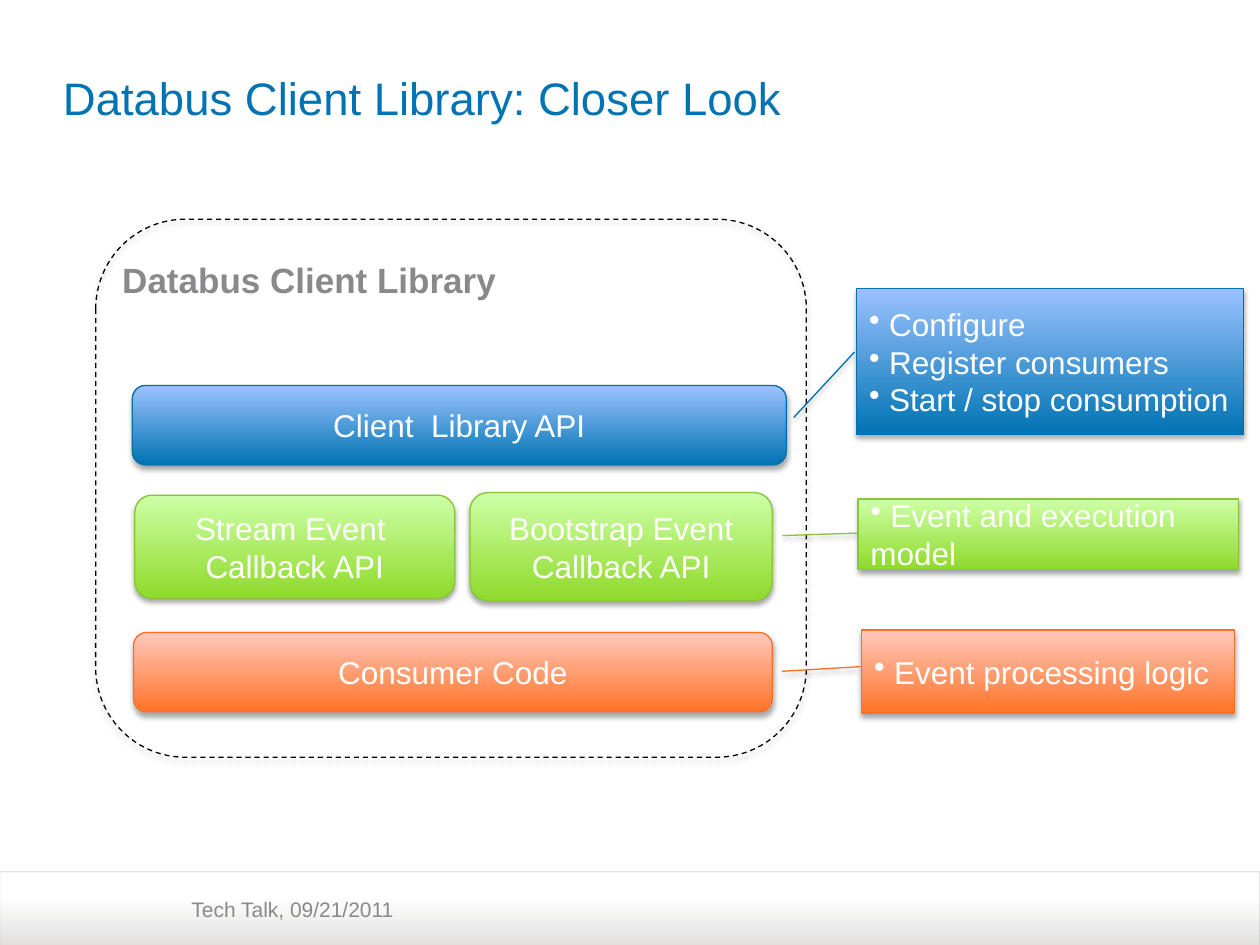
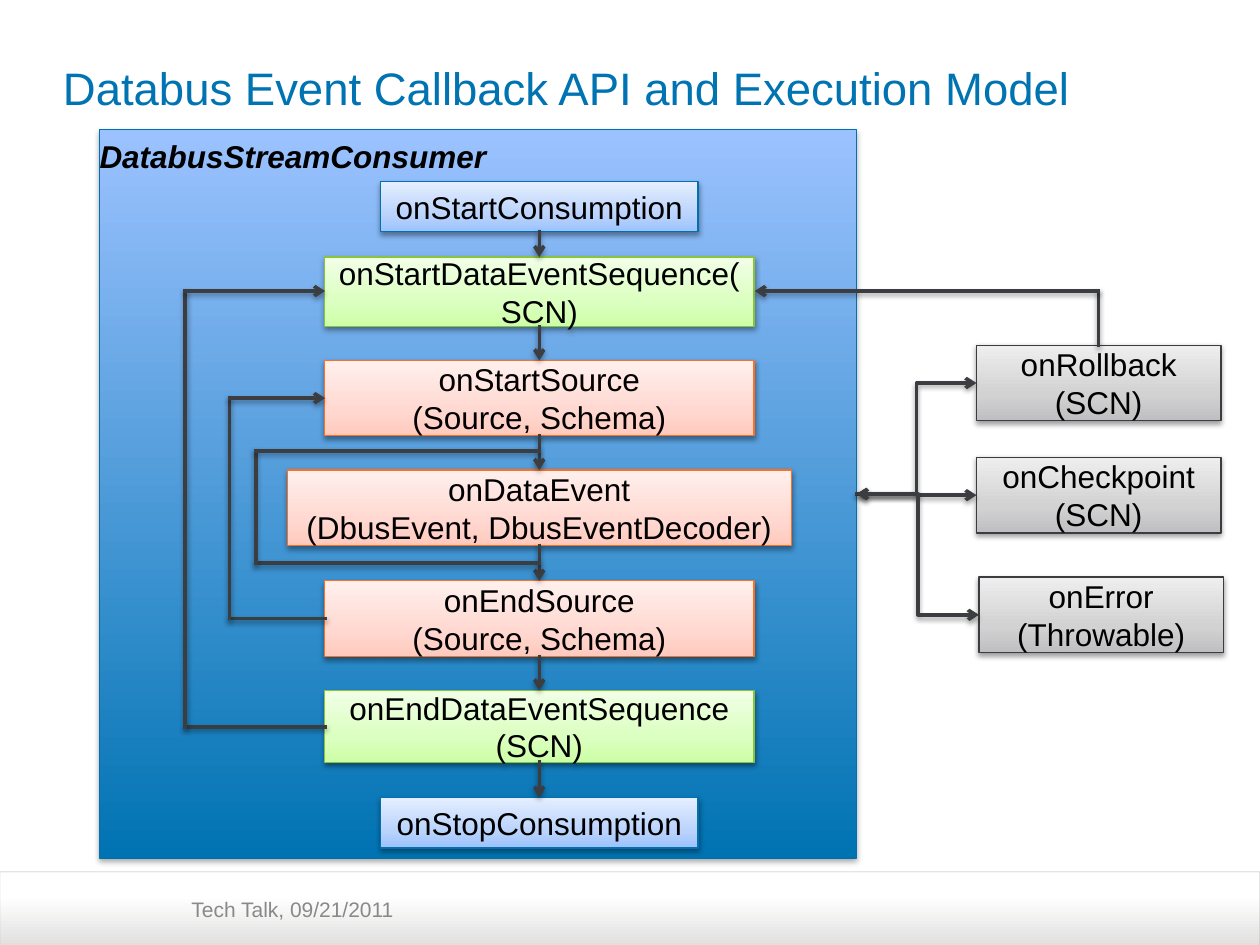
"""Build two slides on the Databus client library and its callback execution model."""
from itertools import pairwise

from lxml.etree import SubElement
from pptx import Presentation
from pptx.dml.color import RGBColor
from pptx.enum.dml import MSO_LINE
from pptx.enum.shapes import MSO_CONNECTOR as LINK, MSO_SHAPE as SHAPE
from pptx.enum.text import MSO_ANCHOR as ANCHOR, PP_ALIGN as ALIGN
from pptx.oxml.ns import qn
from pptx.util import Inches, Pt

FONT = "Arial"
BLACK = RGBColor(0x00, 0x00, 0x00)
WHITE = RGBColor(0xFF, 0xFF, 0xFF)
TITLE_BLUE = RGBColor(0x00, 0x73, 0xB2)
GRAY_TEXT = RGBColor(0x88, 0x89, 0x8B)
FOOTER_LINE = RGBColor(0xA6, 0xA6, 0xA6)
ARROW = RGBColor(0x3C, 0x3D, 0x41)
BLUE_LINE = RGBColor(0x00, 0x70, 0xAE)
GREEN_LINE = RGBColor(0x89, 0xC5, 0x3A)
ORANGE_LINE = RGBColor(0xFE, 0x6F, 0x22)
GRAY_LINE = RGBColor(0x3B, 0x3C, 0x40)

FOOTER_STOPS = [(0, "E1E0DF"), (68, "FFFFFF")]
BLUE = ([(0, "0073B2"), (100, "9BC2FF")], BLUE_LINE)
GREEN = ([(0, "8FDA2B"), (100, "CDFFA6")], GREEN_LINE)
ORANGE = ([(0, "FF7327"), (100, "FFC9BD")], ORANGE_LINE)
PALE_BLUE = ([(0, "9CC2FD"), (35, "BBD4FC"), (100, "E4EEFF")], BLUE_LINE)
PALE_GREEN = ([(0, "CDFFA6"), (35, "DBFFC0"), (100, "F1FFE7")], GREEN_LINE)
PALE_ORANGE = ([(0, "FFC9BD"), (35, "FFD9D1"), (100, "FFF0EE")], ORANGE_LINE)
PALE_GRAY = ([(0, "BFBFC1"), (35, "D2D2D3"), (100, "EEEEEF")], GRAY_LINE)
STRONG_SHADOW = (35, 1.8)
SOFT_SHADOW = (38, 1.6)

FOOTER_TEXT = "Tech Talk, 09/21/2011"

LIBRARY_FRAME = (0.76, 1.74, 5.64, 4.27)
LIBRARY_LAYERS = [
    ("Client  Library API", (1.05, 3.06, 5.19, 0.63), BLUE),
    ("Stream Event \nCallback API", (1.07, 3.93, 2.54, 0.82), GREEN),
    ("Bootstrap Event Callback API", (3.73, 3.91, 2.4, 0.86), GREEN),
    ("Consumer Code", (1.06, 5.02, 5.07, 0.63), ORANGE),
]
CALLOUTS = [
    (" Configure\n Register consumers\n Start / stop consumption",
     (6.8, 2.29, 3.07, 1.16), BLUE, (0.435, -0.006, 0.883, -0.163)),
    (" Event processing logic",
     (6.84, 5, 2.96, 0.66), ORANGE, (0.441, -0.004, 0.498, -0.214)),
    (" Event and execution model",
     (6.81, 3.96, 3.02, 0.56), GREEN, (0.485, -0.001, 0.521, -0.199)),
]

CONSUMER_PANEL = (0.79, 1.03, 6.01, 5.78)
CENTER = 4.28
CALLBACK_STEPS = [
    ("onStartConsumption", 1.44, 2.52, 0.4, PALE_BLUE),
    ("onStartDataEventSequence(SCN)", 2.04, 3.41, 0.55, PALE_GREEN),
    ("onStartSource\n(Source, Schema)", 2.86, 3.41, 0.6, PALE_ORANGE),
    ("onDataEvent\n(DbusEvent, DbusEventDecoder)", 3.73, 4, 0.6, PALE_ORANGE),
    ("onEndSource\n(Source, Schema)", 4.61, 3.41, 0.6, PALE_ORANGE),
    ("onEndDataEventSequence\n(SCN)", 5.48, 3.41, 0.57, PALE_GREEN),
    ("onStopConsumption", 6.33, 2.52, 0.4, PALE_BLUE),
]
SIDE_CALLBACKS = [
    ("onRollback\n(SCN)", 7.75, 2.74, False),
    ("onCheckpoint\n(SCN)", 7.75, 3.63, True),
    ("onError\n(Throwable)", 7.77, 4.58, True),
]
LOOPS = [
    ([(2.58, 5.77), (1.47, 5.77), (1.47, 2.31), (2.58, 2.31)], True),
    ([(2.58, 4.91), (1.82, 4.91), (1.82, 3.16), (2.58, 3.16)], True),
    ([(CENTER, 4.47), (2.03, 4.47), (2.03, 3.58), (CENTER, 3.58)], False),
    ([(8.72, 2.74), (8.72, 2.31), (5.99, 2.31)], True),
]
TOP, LEFT, BOTTOM, RIGHT = range(4)


def write(shape, text, size, color, align=ALIGN.LEFT, anchor=ANCHOR.MIDDLE,
          bold=None, italic=None, bullet=False):
    frame = shape.text_frame
    frame.word_wrap = True
    frame.vertical_anchor = anchor
    for index, line in enumerate(text.split("\n")):
        para = frame.add_paragraph() if index else frame.paragraphs[0]
        para.alignment = align
        if bullet:
            SubElement(para._p.get_or_add_pPr(), qn("a:buChar"), char="•")
        span = para.add_run()
        span.text = line
        font = span.font
        font.name, font.size, font.bold, font.italic = FONT, Pt(size), bold, italic
        font.color.rgb = color


def add_label(page, text, at, size, color, **style):
    box = page.shapes.add_textbox(*map(Inches, at))
    box.text_frame.margin_left = 0
    write(box, text, size, color, **style)


def add_shadow(shape, shadow):
    alpha, distance = shadow
    effects = SubElement(shape._element.spPr, qn("a:effectLst"))
    outer = SubElement(effects, qn("a:outerShdw"), blurRad=str(Pt(3.1)),
                       dist=str(Pt(distance)), dir="5400000", rotWithShape="0")
    color = SubElement(outer, qn("a:srgbClr"), val="000000")
    SubElement(color, qn("a:alpha"), val=str(alpha * 1000))


def add_box(page, kind, at, stops, line_color, shadow=None, line_width=0.75):
    box = page.shapes.add_shape(kind, *map(Inches, at))
    if stops:
        box.fill.gradient()
        box.fill.gradient_angle = 90
        stop_list = box._element.spPr.find(qn("a:gradFill")).find(qn("a:gsLst"))
        for old_stop in list(stop_list):
            stop_list.remove(old_stop)
        for position, color in stops:
            stop = SubElement(stop_list, qn("a:gs"), pos=str(position * 1000))
            SubElement(stop, qn("a:srgbClr"), val=color)
    else:
        box.fill.background()
    box.line.color.rgb = line_color
    box.line.width = Pt(line_width)
    if shadow:
        add_shadow(box, shadow)
    else:
        box.shadow.inherit = False
    return box


def add_link(page, kind=LINK.STRAIGHT, start=(0, 0), end=(0, 0), glue=None,
             head=False, tail=True):
    link = page.shapes.add_connector(kind, *map(Inches, (*start, *end)))
    if glue:
        source, source_site, target, target_site = glue
        link.begin_connect(source, source_site)
        link.end_connect(target, target_site)
    link.line.color.rgb = ARROW
    link.line.width = Pt(2)
    outline = link.line._get_or_add_ln()
    outline.set("cap", "sq")
    for tag, wanted in (("a:headEnd", head), ("a:tailEnd", tail)):
        if wanted:
            SubElement(outline, qn(tag), type="arrow")
    add_shadow(link, SOFT_SHADOW)


def add_route(page, points, arrow):
    segments = list(pairwise(points))
    for number, (start, end) in enumerate(segments, 1):
        add_link(page, start=start, end=end, tail=arrow and number == len(segments))


def start_page(deck):
    page = deck.slides.add_slide(deck.slide_layouts[6])
    band = add_box(page, SHAPE.ROUND_2_SAME_RECTANGLE, (0, 6.92, 10, 0.59),
                   FOOTER_STOPS, FOOTER_LINE, line_width=0.25)
    band.adjustments[0] = 0
    line_color = band.line._get_or_add_ln().find(qn("a:solidFill"))[0]
    SubElement(line_color, qn("a:alpha"), val="79000")
    add_label(page, FOOTER_TEXT, (1.52, 7.07, 3.1, 0.34), 12, GRAY_TEXT, anchor=ANCHOR.TOP)
    return page


def add_title(page, text, top):
    add_label(page, text, (0.5, top, 9, 1.1), 26, TITLE_BLUE)


def build_library_page(deck):
    page = start_page(deck)
    add_title(page, "Databus Client Library: Closer Look", 0.22)
    for text, at, (stops, line_color) in LIBRARY_LAYERS:
        layer = add_box(page, SHAPE.ROUNDED_RECTANGLE, at, stops, line_color, STRONG_SHADOW)
        write(layer, text, 18, WHITE, ALIGN.CENTER)
    frame = add_box(page, SHAPE.ROUNDED_RECTANGLE, LIBRARY_FRAME, None, BLACK, STRONG_SHADOW)
    frame.line.dash_style = MSO_LINE.DASH
    add_label(page, "Databus Client Library", (0.97, 2, 5.42, 1), 20, GRAY_TEXT,
              anchor=ANCHOR.TOP, bold=True)
    for text, at, (stops, line_color), pointer in CALLOUTS:
        callout = add_box(page, SHAPE.LINE_CALLOUT_1, at, stops, line_color, STRONG_SHADOW)
        for index, value in enumerate(pointer):
            callout.adjustments[index] = value
        write(callout, text, 18, WHITE, bullet=True)


def build_callback_page(deck):
    page = start_page(deck)
    panel = add_box(page, SHAPE.RECTANGLE, CONSUMER_PANEL, *BLUE, STRONG_SHADOW)
    add_title(page, "Databus Event Callback API and Execution Model", 0.14)

    steps = []
    for text, top, width, height, (stops, line_color) in CALLBACK_STEPS:
        at = (CENTER - width / 2, top, width, height)
        step = add_box(page, SHAPE.RECTANGLE, at, stops, line_color, SOFT_SHADOW)
        write(step, text, 18, BLACK, ALIGN.CENTER)
        steps.append(step)
    for upper, lower in pairwise(steps):
        add_link(page, glue=(upper, BOTTOM, lower, TOP))

    for text, left, top, two_way in SIDE_CALLBACKS:
        side = add_box(page, SHAPE.RECTANGLE, (left, top, 1.94, 0.6), *PALE_GRAY, SOFT_SHADOW)
        write(side, text, 18, BLACK, ALIGN.CENTER)
        add_link(page, LINK.ELBOW, glue=(panel, RIGHT, side, LEFT), head=two_way)
    for points, arrow in LOOPS:
        add_route(page, points, arrow)
    add_label(page, "DatabusStreamConsumer", (0.79, 1.04, 3.3, 0.54), 18, BLACK,
              anchor=ANCHOR.TOP, bold=True, italic=True)


def main():
    deck = Presentation()
    deck.slide_width, deck.slide_height = Inches(10), Inches(7.5)
    build_library_page(deck)
    build_callback_page(deck)
    deck.save("out.pptx")


if __name__ == "__main__":
    main()
